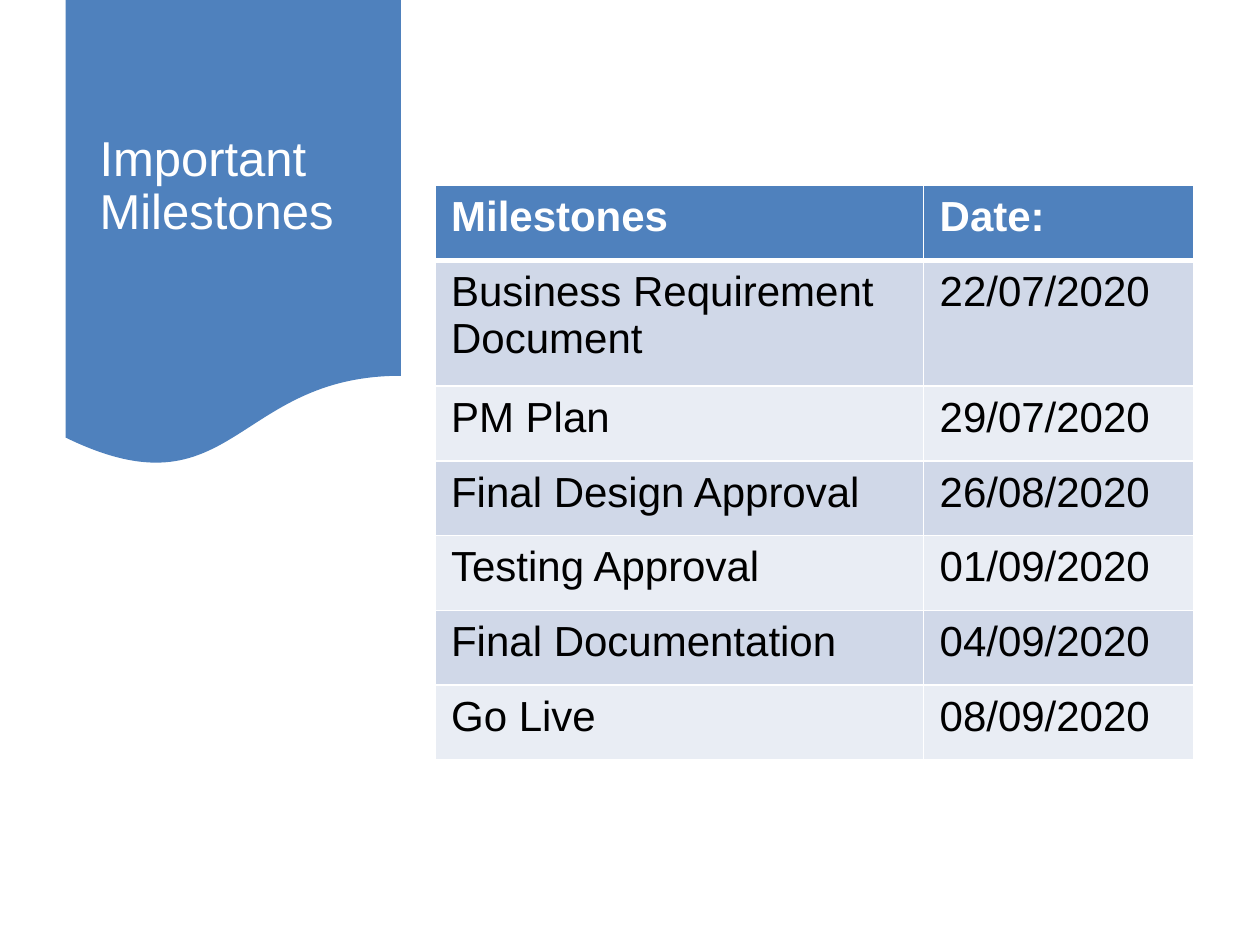
"""Build the important milestones slide: a title banner beside a table of dates."""
from lxml import etree
from pptx import Presentation
from pptx import util as u
from pptx.dml.color import RGBColor
from pptx.enum import shapes, text
from pptx.oxml.ns import qn

TITLE = "Important Milestones"
ROWS = [
    ("Milestones", "Date:"),
    ("Business Requirement Document", "22/07/2020"),
    ("PM Plan", "29/07/2020"),
    ("Final Design Approval", "26/08/2020"),
    ("Testing Approval", "01/09/2020"),
    ("Final Documentation", "04/09/2020"),
    ("Go Live", "08/09/2020"),
]
COLORS = {"accent": "4F81BD", "odd": "D0D8E8", "even": "E9EDF4",
          "white": "FFFFFF", "black": "000000"}
BANNER = (37.6, 0, 191.5, 267.8)
TITLE_BOX = (49.7, 13.7, 167.8, 186.5)
TABLE_AT = (248.6, 106)
COL_WIDTHS = (279.2, 154.6)
ROW_HEIGHT, TALL_ROW = 42.7, 72
CELL_FORMAT = {"margin_left": u.Pt(9.2), "margin_right": u.Pt(9.2),
               "margin_top": u.Pt(4.8), "margin_bottom": u.Pt(4.8)}
TITLE_FORMAT = {"word_wrap": True, "auto_size": text.MSO_AUTO_SIZE.NONE,
                "vertical_anchor": text.MSO_ANCHOR.MIDDLE}


def assign(obj, values):
    for name, value in values.items():
        setattr(obj, name, value)


def pts(values):
    return [u.Pt(v) for v in values]


def paint(fill, color):
    fill.solid()
    fill.fore_color.rgb = RGBColor.from_string(COLORS[color])


def write(p, words, size, color, bold=False):
    r = p.add_run()
    r.text = words
    assign(r.font, {"name": "Arial", "size": u.Pt(size), "bold": bold})
    r.font.color.rgb = RGBColor.from_string(COLORS[color])


def add_borders(cell, widths):
    tcPr = cell._tc.get_or_add_tcPr()
    for side, width in widths.items():
        ln = etree.SubElement(tcPr, qn(f"a:ln{side}"), w=str(u.Pt(width)))
        fill = etree.SubElement(ln, qn("a:solidFill"))
        etree.SubElement(fill, qn("a:srgbClr"), val=COLORS["white"])


def add_title(s):
    title = s.shapes.title
    assign(title, dict(zip(("left", "top", "width", "height"), pts(TITLE_BOX))))
    tf = title.text_frame
    assign(tf, TITLE_FORMAT)
    p = tf.paragraphs[0]
    assign(p, {"alignment": text.PP_ALIGN.LEFT, "line_spacing": 0.9,
               "space_before": u.Pt(0)})
    write(p, TITLE, 28, "white")


def add_banner(s):
    sp = s.shapes.add_shape(shapes.MSO_SHAPE.FLOWCHART_DOCUMENT, *pts(BANNER))
    sp.shadow.inherit = False
    paint(sp.fill, "accent")
    sp.line.fill.background()
    s.shapes.title.element.addprevious(sp.element)


def add_milestones(s):
    heights = [TALL_ROW if i == 1 else ROW_HEIGHT for i in range(len(ROWS))]
    size = pts((sum(COL_WIDTHS), sum(heights)))
    table = s.shapes.add_table(len(ROWS), len(COL_WIDTHS), *pts(TABLE_AT), *size).table
    for col, width in zip(table.columns, COL_WIDTHS):
        col.width = u.Pt(width)
    for i, (values, height) in enumerate(zip(ROWS, heights)):
        table.rows[i].height = u.Pt(height)
        header = i == 0
        for j, value in enumerate(values):
            cell = table.cell(i, j)
            assign(cell, CELL_FORMAT)
            add_borders(cell, {"L": 1, "R": 1, "T": 3 if i == 1 else 1,
                               "B": 3 if header else 1})
            paint(cell.fill, "accent" if header else "odd" if i % 2 else "even")
            write(cell.text_frame.paragraphs[0], value, 24,
                  "white" if header else "black", header)


def main():
    prs = Presentation()
    assign(prs, {"slide_width": u.Pt(720), "slide_height": u.Pt(540)})
    s = prs.slides.add_slide(prs.slide_layouts[5])
    paint(s.background.fill, "white")
    add_title(s)
    add_banner(s)
    add_milestones(s)
    prs.save("out.pptx")


if __name__ == "__main__":
    main()
